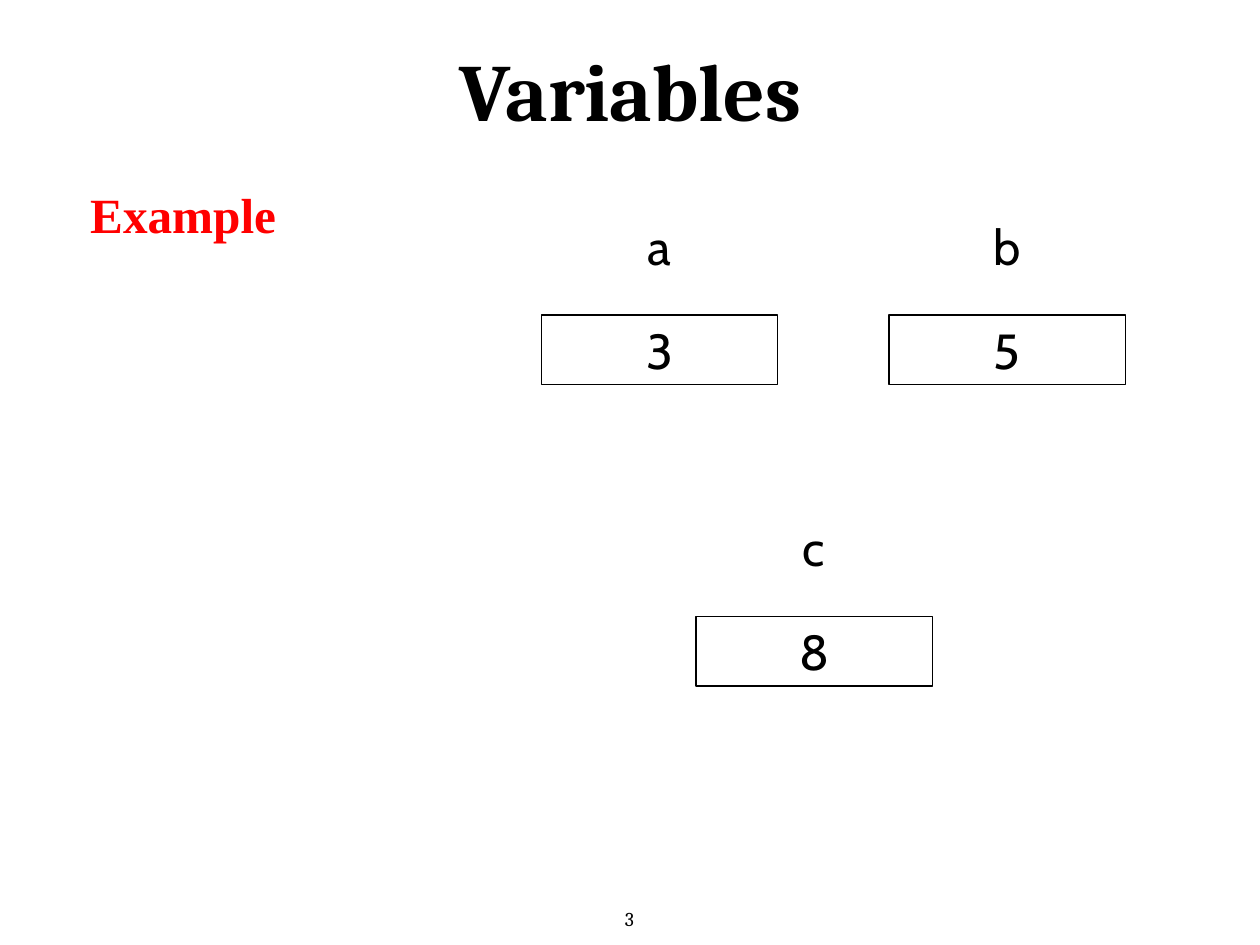
from pptx import Presentation
from pptx.dml.color import RGBColor
from pptx.enum.shapes import MSO_SHAPE as Shape
from pptx.enum.text import MSO_ANCHOR as Anchor, MSO_AUTO_SIZE as AutoSize, PP_ALIGN as Align
from pptx.util import Emu, Pt

# Content: name, value, left and top of each variable's box
TITLE = "Variables"
HEADING = "Example"
PAGE_NUMBER = "3"
VARIABLES = [
    ("a", "3", 550, 320),
    ("b", "5", 903, 320),
    ("c", "8", 707, 626),
]

# Layout in px, 90 px to the inch
SLIDE_WIDTH, SLIDE_HEIGHT = 1280, 960
BOX_WIDTH, LABEL_WIDTH, ROW_HEIGHT = 240, 112, 71
LABEL_RISE = 106
BLACK, RED = "000000", "FF0000"


def px(length):
    return Emu(round(length * 914400 / 90))


def color(value):
    return RGBColor.from_string(value)


def write(shape, text, font_name, size, line_height, ink=BLACK, bold=False,
          inset=5, wrap=True, auto_size=AutoSize.SHAPE_TO_FIT_TEXT):
    frame = shape.text_frame
    frame.word_wrap = wrap
    frame.auto_size = auto_size
    frame.vertical_anchor = Anchor.MIDDLE
    frame.margin_left = frame.margin_right = px(inset)
    frame.margin_top = frame.margin_bottom = px(inset)
    paragraph = frame.paragraphs[0]
    paragraph.text = text
    paragraph.alignment = Align.CENTER
    paragraph.line_spacing = Pt(line_height)
    font = paragraph.font
    font.name, font.size, font.bold = font_name, Pt(size), bold
    font.color.rgb = color(ink)


presentation = Presentation()
presentation.slide_width = px(SLIDE_WIDTH)
presentation.slide_height = px(SLIDE_HEIGHT)
slide = presentation.slides.add_slide(presentation.slide_layouts[5])


def add_text(left, top, width, height, *text, **style):
    box = slide.shapes.add_textbox(px(left), px(top), px(width), px(height))
    write(box, *text, **style)


# Variables: a value box with its name centred above
for name, value, left, top in VARIABLES:
    box = slide.shapes.add_shape(Shape.RECTANGLE, px(left), px(top),
                                 px(BOX_WIDTH), px(ROW_HEIGHT))
    box.shadow.inherit = False
    box.fill.background()
    box.line.color.rgb = color(BLACK)
    box.line.width = Pt(1)
    write(box, value, "Cabin", 40, 48)
    add_text(left + (BOX_WIDTH - LABEL_WIDTH) / 2, top - LABEL_RISE,
             LABEL_WIDTH, ROW_HEIGHT, name, "Cabin", 40, 48)

# Title
title = slide.shapes.title
title.left, title.top, title.width, title.height = px(1), px(5), px(1279), px(150)
write(title, TITLE, "Cambria", 66, 96, bold=True, inset=0, auto_size=AutoSize.NONE)

# Heading and page number
add_text(62, 182, 248, ROW_HEIGHT, HEADING, "Times New Roman", 40, 48,
         ink=RED, bold=True)
add_text(625, 917, 29, 32, PAGE_NUMBER, "Cambria", 16, 19,
         inset=4, wrap=False, auto_size=AutoSize.NONE)

presentation.save("out.pptx")
